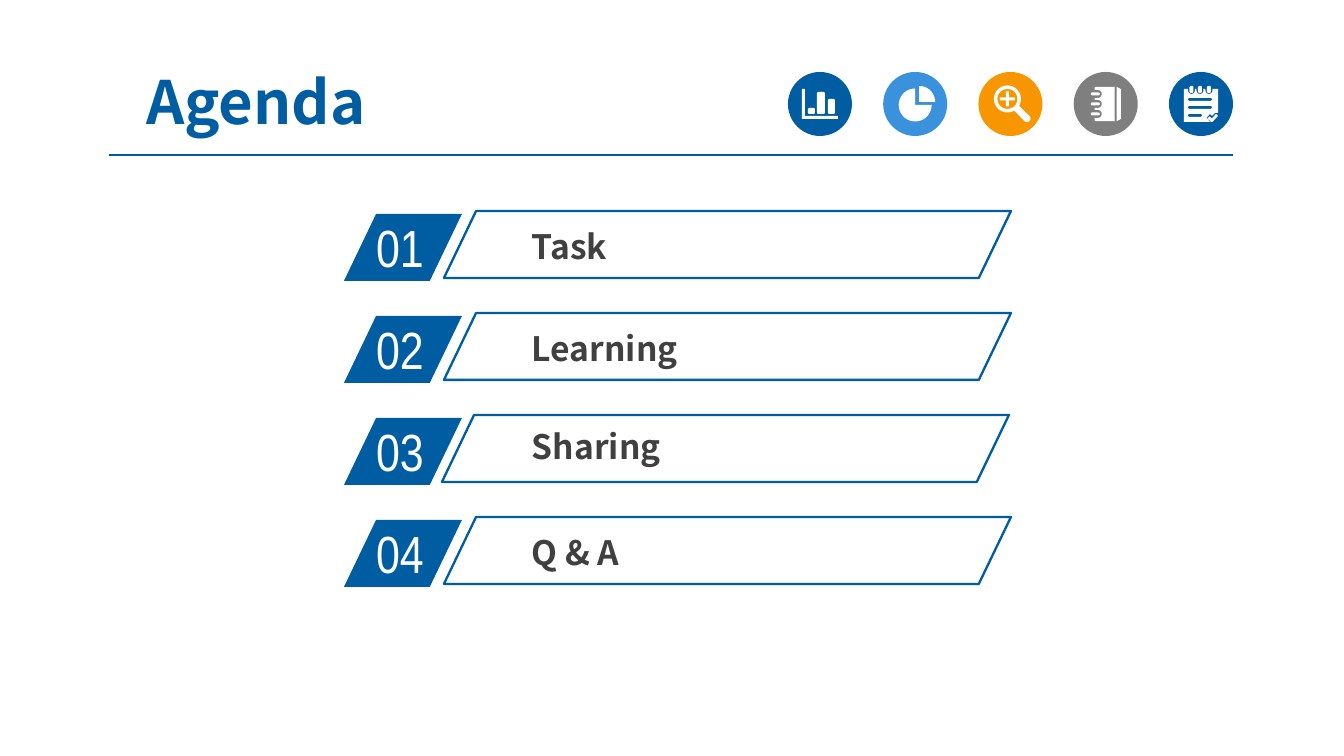
from dataclasses import dataclass
from math import cos, radians, sin

from lxml.etree import SubElement
from pptx import Presentation
from pptx.dml.color import RGBColor
from pptx.enum.shapes import MSO_CONNECTOR, MSO_SHAPE
from pptx.enum.text import MSO_ANCHOR, MSO_AUTO_SIZE, PP_ALIGN
from pptx.oxml.ns import qn
from pptx.util import Emu, Pt

EMU_PER_PIXEL = 914400 / 134.4
FINE = 10  # outline units per pixel

BLUE = RGBColor(0x00, 0x5D, 0xA2)
RULE_BLUE = RGBColor(0x00, 0x5B, 0x9E)
LIGHT_BLUE = RGBColor(0x39, 0x92, 0xDB)
ORANGE = RGBColor(0xF7, 0x96, 0x00)
GREY = RGBColor(0x7F, 0x7F, 0x7F)
DARK = RGBColor(0x40, 0x40, 0x40)
WHITE = RGBColor(0xFF, 0xFF, 0xFF)
HEAD_FONT = "Noto Sans CJK SC"
NUMBER_FONT = "Arial Narrow"

Points = list[tuple[float, float]]


@dataclass
class TextStyle:
    font: str
    size: int
    color: RGBColor
    bold: bool = False


@dataclass
class AgendaRow:
    label: str
    frame_left: int = 444
    label_drop: int = 10


@dataclass
class Badge:
    color: RGBColor
    outlines: list[Points]


TITLE = TextStyle(HEAD_FONT, 32, BLUE, True)
LABEL = TextStyle(HEAD_FONT, 18, DARK, True)
NUMBER = TextStyle(NUMBER_FONT, 28, WHITE)


def px(pixels: float) -> Emu:
    """Turn pixels into EMU."""
    return Emu(round(pixels * EMU_PER_PIXEL))


def add_text(page, text, left, top, width, height, style, margins=None):
    """Add a one-line text box and return its frame."""
    box = page.shapes.add_textbox(px(left), px(top), px(width), px(height))
    frame = box.text_frame
    frame.word_wrap = True
    if margins:
        frame.margin_left = frame.margin_right = px(margins[0])
        frame.margin_top = frame.margin_bottom = px(margins[1])
    span = frame.paragraphs[0].add_run()
    span.text = text
    span.font.name = style.font
    span.font.size = Pt(style.size)
    span.font.bold = style.bold
    span.font.color.rgb = style.color
    return frame


def add_filled(page, kind, left, top, width, height, color):
    """Add a preset shape with a plain fill and no line."""
    shape = page.shapes.add_shape(kind, px(left), px(top), px(width), px(height))
    shape.shadow.inherit = False
    shape.fill.solid()
    shape.fill.fore_color.rgb = color
    shape.line.fill.background()
    return shape


def arc(x: float, y: float, radius: float, start: int, end: int) -> Points:
    """Return points along an arc, with degrees clockwise from the right."""
    steps = max(4, abs(end - start) // 10)
    angles = [radians(start + (end - start) * i / steps) for i in range(steps + 1)]
    return [(x + radius * cos(a), y + radius * sin(a)) for a in angles]


def pill(left: float, top: float, right: float, bottom: float, radius: float = 1.5) -> Points:
    """Return the outline of a rounded rectangle."""
    near, far = left + radius, right - radius
    high, low = top + radius, bottom - radius
    return (arc(near, high, radius, 180, 270) + arc(far, high, radius, 270, 360)
            + arc(far, low, radius, 0, 90) + arc(near, low, radius, 90, 180))


def bar_icon() -> list[Points]:
    """Outline a bar chart."""
    axes = [(14, 17), (17, 17), (17, 44), (50, 44), (50, 47), (14, 47)]
    return [axes, pill(20, 36, 27, 42), pill(29, 20, 37, 42), pill(40, 27, 47, 42)]


def pie_icon() -> list[Points]:
    """Outline a pie chart with one slice pulled out."""
    return [[(36, 30)] + arc(36, 30, 16, -90, 0), [(32, 33)] + arc(32, 33, 16.5, 0, 270)]


def lens_icon() -> list[Points]:
    """Outline a magnifier with a plus sign."""
    x, y, arm, half = 29, 27, 7.5, 1.5
    body = arc(x, y, 13.5, 60, 390) + [(52, 45), (52, 48), (50, 50), (47, 50)]
    plus = [(x - half, y - arm), (x + half, y - arm), (x + half, y - half),
            (x + arm, y - half), (x + arm, y + half), (x + half, y + half),
            (x + half, y + arm), (x - half, y + arm), (x - half, y + half),
            (x - arm, y + half), (x - arm, y - half), (x - half, y - half)]
    return [body, arc(x, y, 10, 360, 0), plus]


def notebook_icon() -> list[Points]:
    """Outline a ring-bound notebook."""
    rings = (42, 32, 22)
    cover = [(21, 15), (41, 15), (41, 49), (21, 49)]
    for y in rings:
        cover += [(21, y + 4)] + arc(24, y, 4, 90, -90) + [(21, y - 4)]
    spine = [(43, 15), (47, 17), (47, 47), (43, 49)]
    return [cover, spine] + [pill(17, y - 1.5, 26, y + 1.5) for y in rings]


def notepad_icon() -> list[Points]:
    """Outline a notepad with a check mark."""
    rings = (22.5, 31, 40)
    sheet = [(15, 17)]
    for x in rings:
        sheet += [(x - 3.5, 17)] + arc(x, 18.5, 3.5, 180, 0) + [(x + 3.5, 17)]
    sheet += [(49, 17), (49, 41), (46, 41), (43, 44), (41, 42),
              (37.5, 46), (41, 50), (15, 50)]
    check = [(47, 42), (49, 44), (43.5, 50), (42, 50), (38.5, 46.5), (40.5, 44.5), (43, 46.5)]
    lines = [pill(19, 26, 43, 29), pill(19, 34, 43, 37), pill(19, 42, 33, 45)]
    return [sheet, check] + lines + [pill(x - 2, 14, x + 2, 21) for x in rings]


def add_badge(page, badge: Badge, left: float, top: float) -> None:
    """Draw a round badge with its white icon."""
    add_filled(page, MSO_SHAPE.OVAL, left, top, 64, 64, badge.color)
    outlines = [[(x * FINE, y * FINE) for x, y in points] for points in badge.outlines]
    builder = page.shapes.build_freeform(*outlines[0][0], scale=EMU_PER_PIXEL / FINE)
    for index, points in enumerate(outlines):
        if index:
            builder.move_to(*points[0])
        builder.add_line_segments(points[1:], close=True)
    icon = builder.convert_to_shape(px(left), px(top))
    icon.shadow.inherit = False
    icon.fill.solid()
    icon.fill.fore_color.rgb = WHITE
    icon.line.fill.background()


def add_agenda_row(page, number: int, row: AgendaRow, top: int) -> None:
    """Draw a numbered tab and its outlined label."""
    tab = add_filled(page, MSO_SHAPE.PARALLELOGRAM, 344, top + 3, 118, 67, BLUE)
    tab.adjustments[0] = 0.48
    digits = add_text(page, f"{number:02d}", 363, top - 2, 113, 66, NUMBER)
    label = add_text(page, row.label, 522, top + row.label_drop, 415, 51, LABEL, (10, 5))
    digits.auto_size = label.auto_size = MSO_AUTO_SIZE.SHAPE_TO_FIT_TEXT
    frame = add_filled(page, MSO_SHAPE.PARALLELOGRAM, row.frame_left, top, 567, 67, WHITE)
    frame.adjustments[0] = 0.48
    frame.fill.background()
    frame.line.color.rgb = BLUE
    frame.line.width = Pt(1.25)


def add_header(page) -> None:
    """Draw the title and the rule below it."""
    title = add_text(page, "Agenda", 90, 64, 332, 73, TITLE)
    title.vertical_anchor = MSO_ANCHOR.MIDDLE
    title.paragraphs[0].alignment = PP_ALIGN.CENTER
    rule = page.shapes.add_connector(MSO_CONNECTOR.STRAIGHT, px(109), px(155), px(1233), px(155))
    rule.line.color.rgb = RULE_BLUE
    rule.line.width = Pt(0.75)
    SubElement(rule.element.spPr, qn("a:effectLst"))


ROWS = [AgendaRow("Task"), AgendaRow("Learning"),
        AgendaRow("Sharing", frame_left=442, label_drop=6), AgendaRow("Q & A")]
BADGES = [Badge(BLUE, bar_icon()), Badge(LIGHT_BLUE, pie_icon()), Badge(ORANGE, lens_icon()),
          Badge(GREY, notebook_icon()), Badge(BLUE, notepad_icon())]

deck = Presentation()
deck.slide_width, deck.slide_height = px(1344), px(756)
page = deck.slides.add_slide(deck.slide_layouts[6])
add_header(page)
for index, row in enumerate(ROWS):
    add_agenda_row(page, index + 1, row, 211 + 102 * index)
badge_step = (1169 - 788) / (len(BADGES) - 1)
for index, badge in enumerate(BADGES):
    add_badge(page, badge, 788 + badge_step * index, 72)
deck.save("out.pptx")
